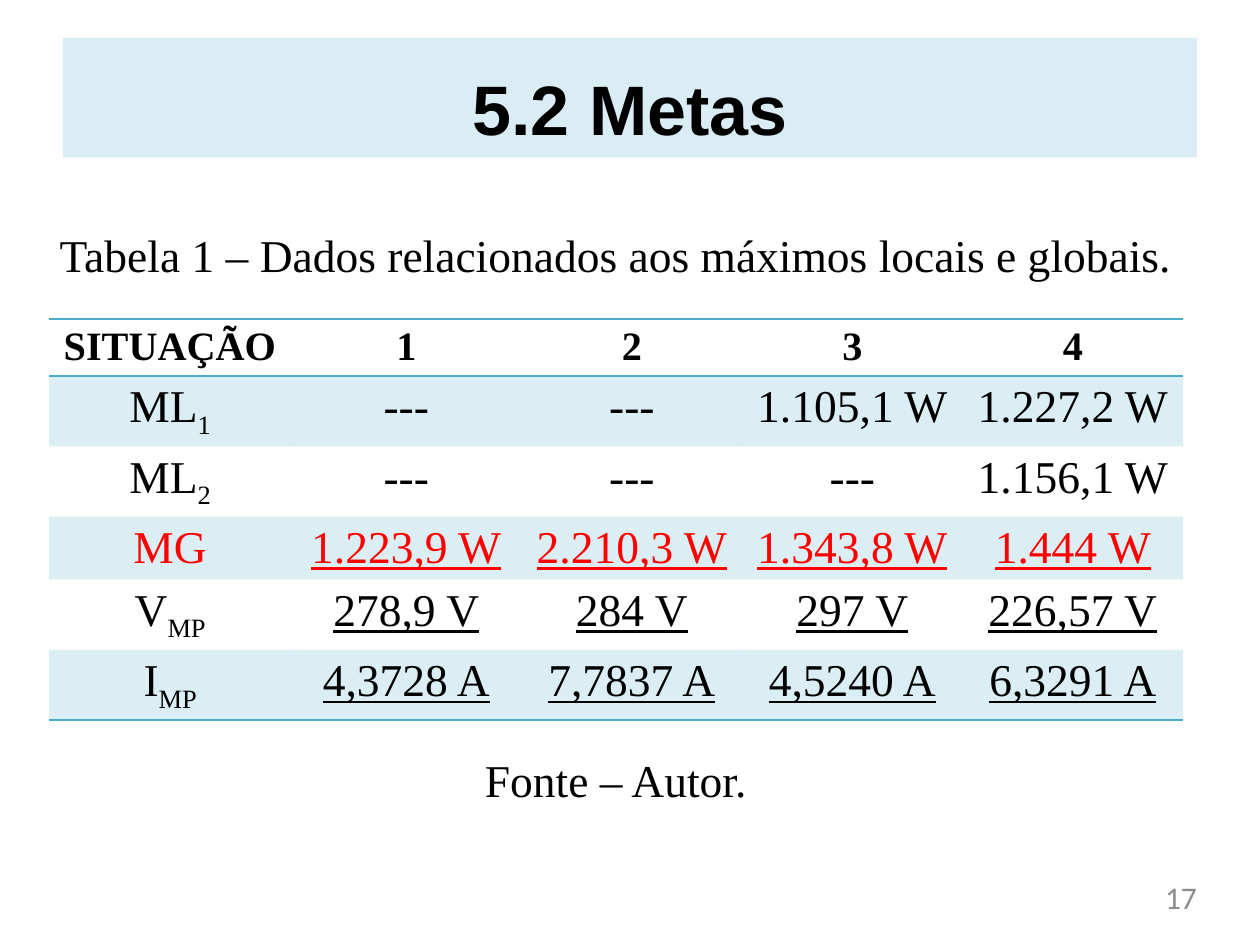
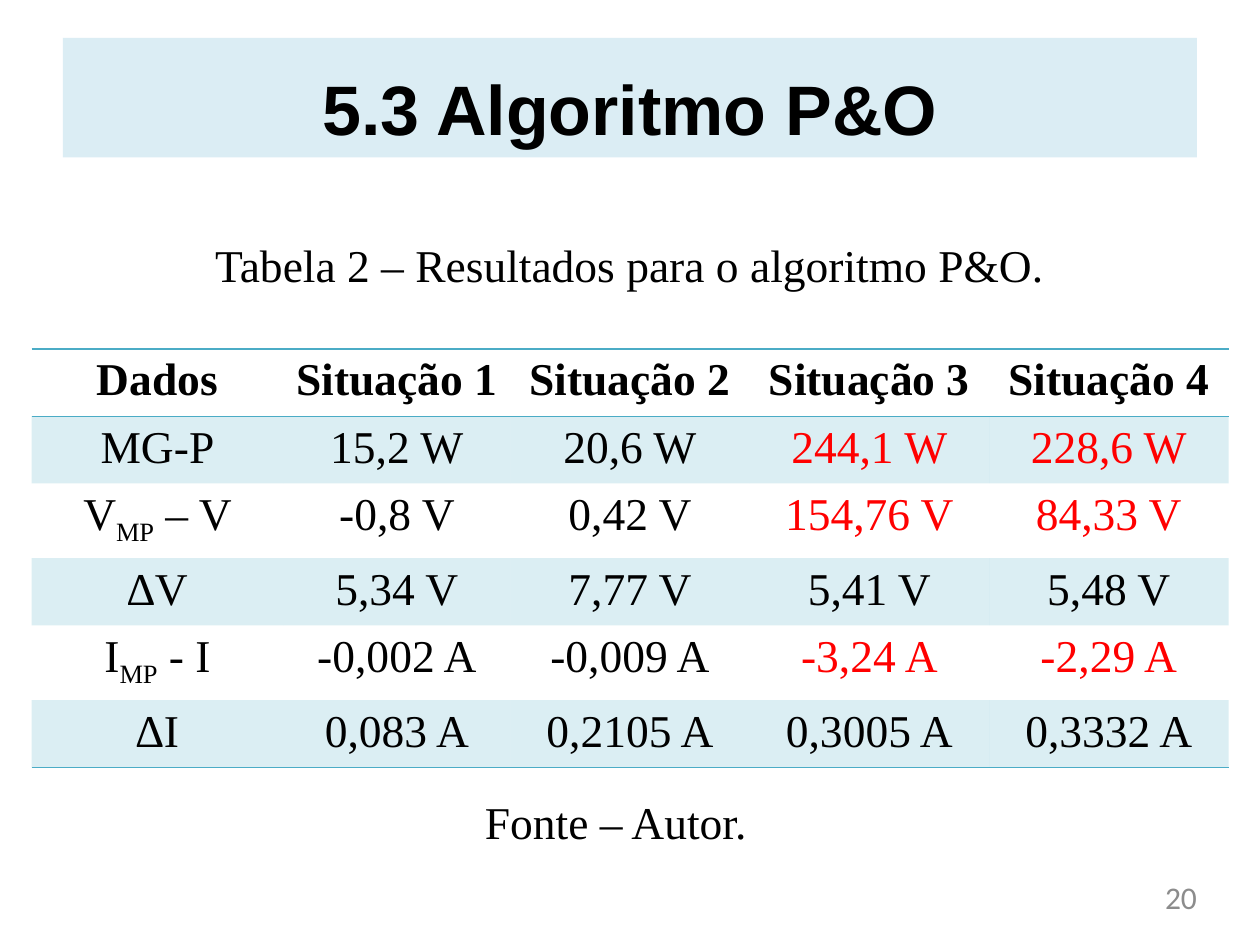
from dataclasses import dataclass

from lxml.etree import SubElement
from pptx import Presentation
from pptx.dml.color import RGBColor
from pptx.enum.shapes import MSO_SHAPE
from pptx.enum.text import MSO_ANCHOR, PP_ALIGN
from pptx.oxml.ns import qn
from pptx.util import Inches, Pt


@dataclass(frozen=True)
class Theme:
    """Colours, fonts and type sizes shared by the slides."""

    black: str = "000000"
    red: str = "FF0000"
    grey: str = "8C8C8C"
    title_band: str = "DBEDF4"
    accent: str = "4BACC6"
    band_alpha: int = 20
    rule_width: float = 1
    title_font: str = "Arial"
    body_font: str = "Times New Roman"
    number_font: str = "Calibri"
    title_size: int = 40
    body_size: int = 26
    number_size: int = 18
    plain_table: str = "{2D5ABB26-0587-4C30-8999-92F81FD0307C}"


@dataclass(frozen=True)
class ResultTable:
    """Rows of a table, its place on the grid and its marked cells."""

    left: float
    top: float
    height: float
    columns: tuple
    rows: list
    header_size: int
    red_cells: set
    underlined_cells: set


THEME = Theme()
GRID_COLUMNS, GRID_ROWS = 100, 75
MINIMUM_ROW = 4.1


def grid(count):
    """Turn a number of square grid cells into a length."""
    return Inches(count / 10)


def write(paragraph, text, font_name, size, color, bold=False, align=PP_ALIGN.CENTER):
    """Write a paragraph in which underscores enclose subscripts."""
    for index, part in enumerate(text.split("_")):
        if part:
            run = paragraph.add_run()
            run.text = part
            if index % 2:
                run._r.get_or_add_rPr().set("baseline", "-25000")
    paragraph.alignment = align
    font = paragraph.font
    font.name, font.size, font.bold = font_name, Pt(size), bold
    font.color.rgb = RGBColor.from_string(color)


def set_margins(frame, top=0):
    """Clear the margins of a text frame except the top one."""
    frame.margin_left = frame.margin_right = frame.margin_bottom = 0
    frame.margin_top = grid(top)


def add_title(slide, text):
    """Add the title on its pale band."""
    shape = slide.shapes.add_shape(MSO_SHAPE.RECTANGLE, grid(5), grid(3), grid(90), grid(9.5))
    shape.shadow.inherit = False
    shape.fill.solid()
    shape.fill.fore_color.rgb = RGBColor.from_string(THEME.title_band)
    shape.line.fill.background()
    frame = shape.text_frame
    set_margins(frame, top=2.2)
    frame.vertical_anchor = MSO_ANCHOR.TOP
    write(frame.paragraphs[0], text, THEME.title_font, THEME.title_size, THEME.black, bold=True)


def add_caption(slide, text, left, top, width, align=PP_ALIGN.CENTER):
    """Add a one-line caption above or below a table."""
    frame = slide.shapes.add_textbox(grid(left), grid(top), grid(width), grid(5.4)).text_frame
    frame.word_wrap = False
    write(frame.paragraphs[0], text, THEME.body_font, THEME.body_size, THEME.black, align=align)


def add_number(slide, number):
    """Add the slide number at the lower right."""
    frame = slide.shapes.add_textbox(grid(72), grid(69.7), grid(23), grid(3.8)).text_frame
    set_margins(frame)
    frame.word_wrap = True
    write(frame.paragraphs[0], str(number), THEME.number_font, THEME.number_size,
          THEME.grey, align=PP_ALIGN.RIGHT)


def fill_band(cell):
    """Fill a cell with the translucent accent colour."""
    cell.fill.solid()
    cell.fill.fore_color.rgb = RGBColor.from_string(THEME.accent)
    color = cell._tc.tcPr.find(".//" + qn("a:srgbClr"))
    SubElement(color, qn("a:alpha")).set("val", str(THEME.band_alpha * 1000))


def add_rules(cell, sides):
    """Draw accent rules on the given sides of a cell."""
    properties = cell._tc.get_or_add_tcPr()
    for position, side in enumerate(sides):
        line = SubElement(properties, qn(f"a:ln{side}"), w=str(Pt(THEME.rule_width)))
        SubElement(SubElement(line, qn("a:solidFill")), qn("a:srgbClr"), val=THEME.accent)
        properties.insert(position, line)


def add_result_table(slide, data):
    """Add a ruled table with a bold header and banded rows."""
    last = len(data.rows) - 1
    graphic_frame = slide.shapes.add_table(
        len(data.rows), len(data.columns), grid(data.left), grid(data.top),
        grid(sum(data.columns)), grid(data.height))
    table = graphic_frame.table
    table.first_row = table.horz_banding = False
    table._tbl.tblPr.find(qn("a:tableStyleId")).text = THEME.plain_table
    for column, width in zip(table.columns, data.columns):
        column.width = grid(width)
    for row in table.rows:
        row.height = grid(MINIMUM_ROW)
    graphic_frame.height = grid(data.height)
    for row_index, row in enumerate(data.rows):
        header = row_index == 0
        sides = "TB" if header else "B" if row_index == last else ""
        for column_index, text in enumerate(row):
            place = (row_index, column_index)
            cell = table.cell(*place)
            if row_index % 2:
                fill_band(cell)
            else:
                cell.fill.background()
            add_rules(cell, sides)
            paragraph = cell.text_frame.paragraphs[0]
            write(paragraph, text, THEME.body_font,
                  data.header_size if header else THEME.body_size,
                  THEME.red if place in data.red_cells else THEME.black, bold=header)
            if place in data.underlined_cells:
                paragraph.font.underline = True


def add_slide(presentation, title, number, caption, caption_place, data, source_top):
    """Add a slide with a title, a captioned table and its source."""
    slide = presentation.slides.add_slide(presentation.slide_layouts[6])
    add_result_table(slide, data)
    add_caption(slide, caption, *caption_place)
    add_caption(slide, "Fonte – Autor.", 37.5, source_top, 23, PP_ALIGN.LEFT)
    add_title(slide, title)
    add_number(slide, number)


def main():
    """Build both slides and save the presentation."""
    presentation = Presentation()
    presentation.slide_width = grid(GRID_COLUMNS)
    presentation.slide_height = grid(GRID_ROWS)
    maxima = ResultTable(
        left=3.9, top=25.3, height=31.5, columns=(19.2, 18.3, 17.5, 17.5, 17.5),
        header_size=23,
        rows=[
            ["SITUAÇÃO", "1", "2", "3", "4"],
            ["ML_1_", "---", "---", "1.105,1 W", "1.227,2 W"],
            ["ML_2_", "---", "---", "---", "1.156,1 W"],
            ["MG", "1.223,9 W", "2.210,3 W", "1.343,8 W", "1.444 W"],
            ["V_MP_", "278,9 V", "284 V", "297 V", "226,57 V"],
            ["I_MP_", "4,3728 A", "7,7837 A", "4,5240 A", "6,3291 A"],
        ],
        red_cells={(3, column) for column in range(5)},
        underlined_cells={(row, column) for row in range(3, 6) for column in range(1, 5)})
    results = ResultTable(
        left=2.5, top=27.7, height=32, columns=(20, 18, 19, 19, 19),
        header_size=THEME.body_size,
        rows=[
            ["Dados", "Situação 1", "Situação 2", "Situação 3", "Situação 4"],
            ["MG-P", "15,2 W", "20,6 W", "244,1 W", "228,6 W"],
            ["V_MP_ – V", "-0,8 V", "0,42 V", "154,76 V", "84,33 V"],
            ["∆V", "5,34 V", "7,77 V", "5,41 V", "5,48 V"],
            ["I_MP_ - I", "-0,002 A", "-0,009 A", "-3,24 A", "-2,29 A"],
            ["∆I", "0,083 A", "0,2105 A", "0,3005 A", "0,3332 A"],
        ],
        red_cells={(row, column) for row in (1, 2, 4) for column in (3, 4)},
        underlined_cells=set())
    add_slide(presentation, "5.2 Metas", 17,
              "Tabela 1 – Dados relacionados aos máximos locais e globais.",
              (3.4, 17.5, 91), maxima, 59.2)
    add_slide(presentation, "5.3 Algoritmo P&O", 20,
              "Tabela 2 – Resultados para o algoritmo P&O.",
              (2.5, 18.3, 95), results, 62.5)
    presentation.save("out.pptx")


main()
